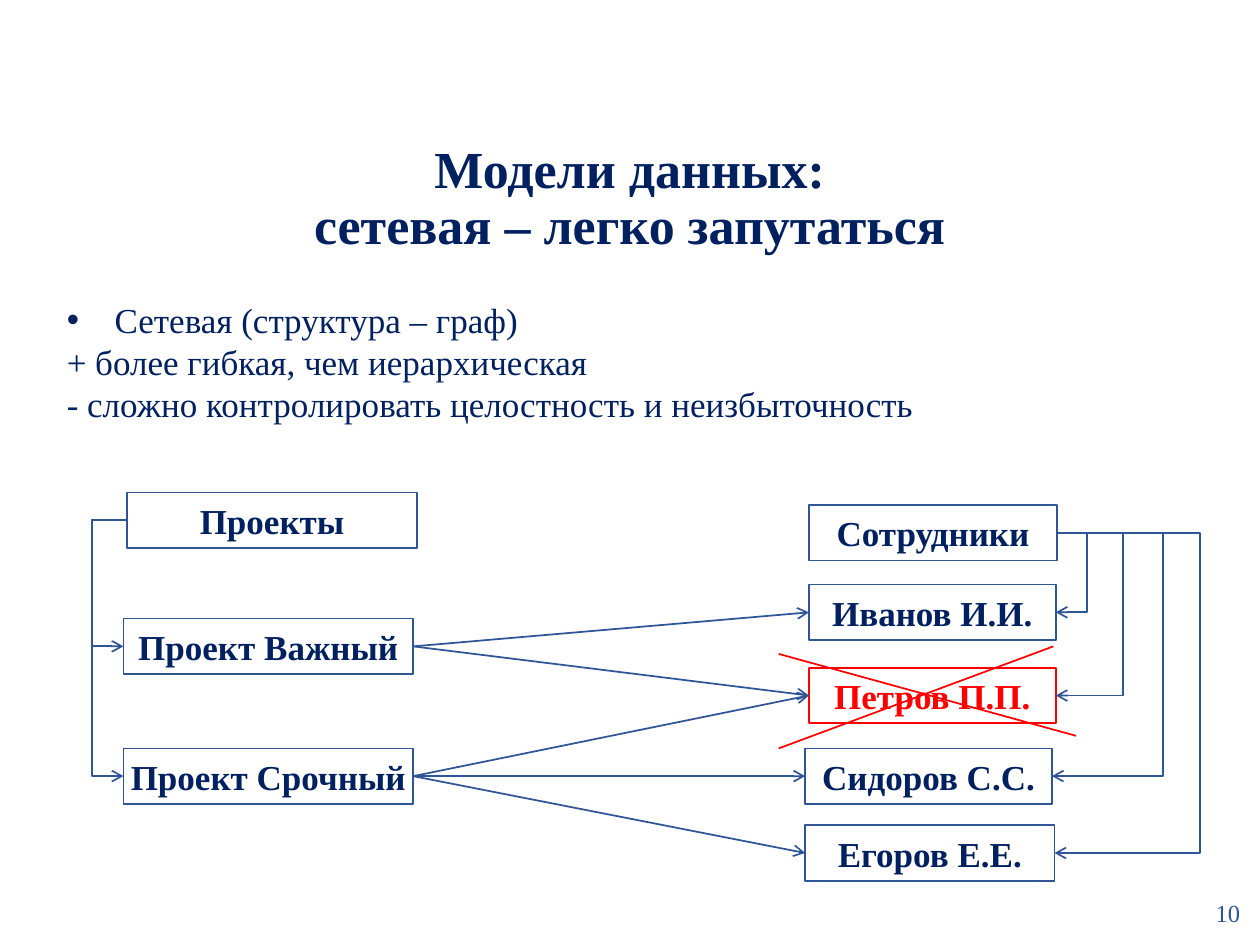
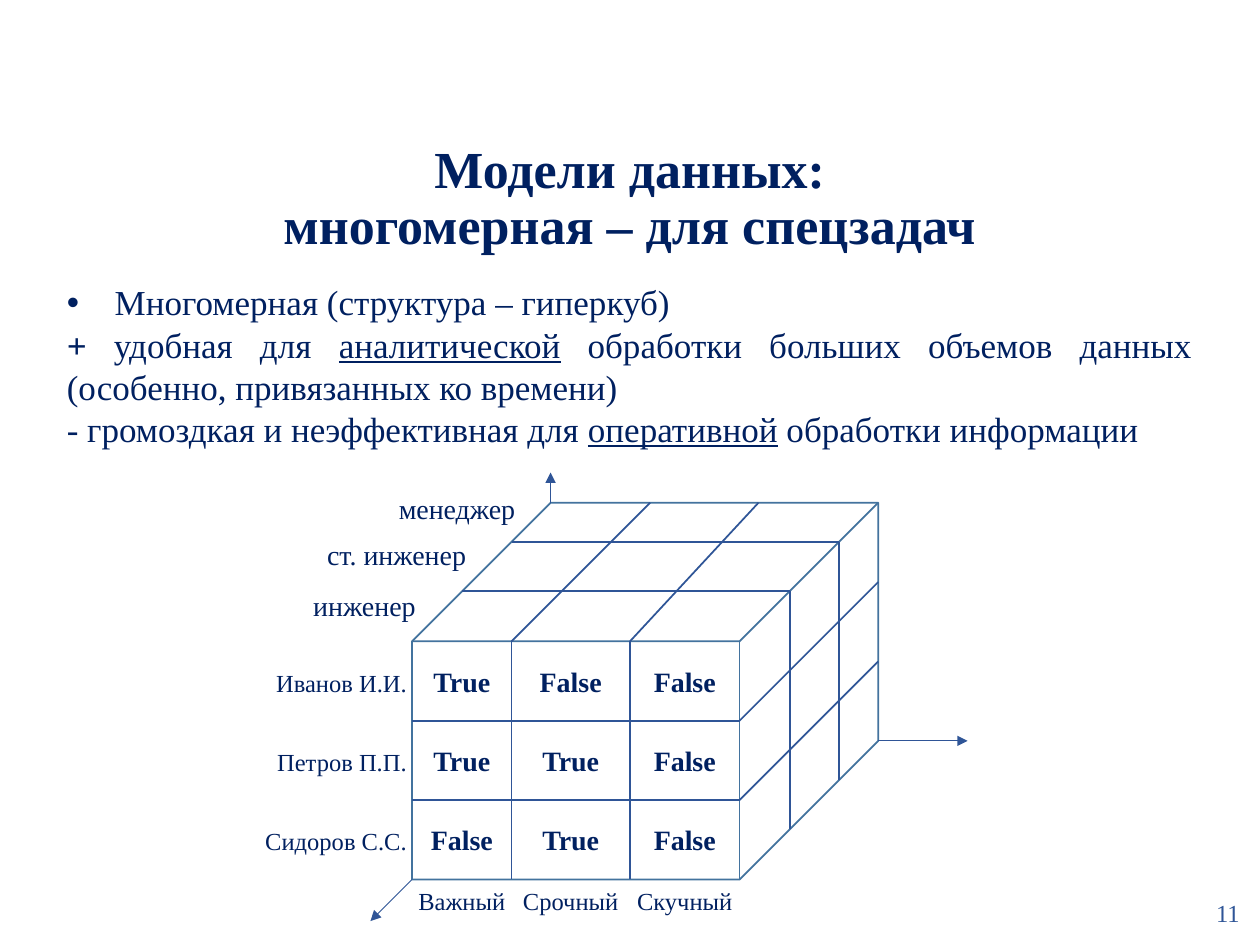
from typing import NamedTuple, Optional

import pptx
import pptx.dml.color
import pptx.enum.shapes
import pptx.enum.text
import pptx.oxml.ns
import pptx.oxml.xmlchemy
import pptx.presentation
import pptx.shapes.autoshape
import pptx.shapes.connector
import pptx.slide
import pptx.text.text
import pptx.util
from lxml import etree

Inches = pptx.util.Inches
Pt = pptx.util.Pt
RGBColor = pptx.dml.color.RGBColor
Align = pptx.enum.text.PP_ALIGN
Anchor = pptx.enum.text.MSO_ANCHOR
Preset = pptx.enum.shapes.MSO_SHAPE
Link = pptx.enum.shapes.MSO_CONNECTOR
qn = pptx.oxml.ns.qn

NAVY = RGBColor(0x00, 0x20, 0x60)
BLUE = RGBColor(0x2F, 0x55, 0x97)
STEEL = RGBColor(0x43, 0x73, 0x9E)
RED = RGBColor(0xFF, 0x00, 0x00)
FONT = "Times New Roman"
RIGHT_SIDE, LEFT_SIDE = 3, 1
BOX_HEIGHT = 0.44


class Point(NamedTuple):
    x: float
    y: float


class Area(NamedTuple):
    left: float
    top: float
    width: float
    height: float


class Style(NamedTuple):
    size: float
    color: RGBColor = NAVY
    bold: bool = False
    align: Align = Align.CENTER


class Part(NamedTuple):
    """A stretch of text within a paragraph."""
    text: str
    bold: bool = False
    underline: bool = False


class Record(NamedTuple):
    """A labelled box of the network diagram."""
    text: str
    left: float
    top: float
    width: float
    color: Optional[RGBColor] = None

    @property
    def right(self) -> float:
        return self.left + self.width

    @property
    def middle(self) -> float:
        return self.top + BOX_HEIGHT / 2


class DepthLabel(NamedTuple):
    text: str
    right: float
    top: float


BOX_STYLE = Style(20, bold=True)
CELL_STYLE = Style(16, bold=True)
DEPTH_STYLE = Style(16, align=Align.RIGHT)
ROW_STYLE = Style(14, align=Align.RIGHT)
COLUMN_STYLE = Style(14)
NUMBER_STYLE = Style(14, BLUE)

PROJECTS = Record("Проекты", 1.01, 3.91, 2.3)
IMPORTANT = Record("Проект Важный", 0.98, 4.91, 2.3)
URGENT = Record("Проект Срочный", 0.98, 5.94, 2.3)
STAFF = Record("Сотрудники", 6.42, 4.01, 1.97)
IVANOV = Record("Иванов И.И.", 6.42, 4.64, 1.96)
PETROV = Record("Петров П.П.", 6.42, 5.3, 1.96, RED)
SIDOROV = Record("Сидоров С.С.", 6.39, 5.94, 1.96)
EGOROV = Record("Егоров Е.Е.", 6.39, 6.55, 1.98)
RECORDS = (PROJECTS, IMPORTANT, URGENT, STAFF, IVANOV, PETROV, SIDOROV, EGOROV)
ASSIGNMENTS = ((IMPORTANT, IVANOV), (IMPORTANT, PETROV), (URGENT, PETROV),
               (URGENT, SIDOROV), (URGENT, EGOROV))
PROJECT_LANE = 0.73
STAFF_LANES = ((IVANOV, 8.63), (PETROV, 8.92), (SIDOROV, 9.23), (EGOROV, 9.52))

COLUMN_EDGES = (3.27, 4.06, 5.0, 5.87)
BACK_EDGES = (5.16, 6.02)
ROW_HEIGHT = 0.63
ROW_EDGES = tuple(5.09 + ROW_HEIGHT * row for row in range(4))
DEPTH = 1.1
DEPTH_STEPS = (0.4, 0.79)
COLUMNS = ("Важный", "Срочный", "Скучный")
ROWS = ("Иванов И.И.", "Петров П.П.", "Сидоров С.С.")
VALUES = (("True", "False", "False"),
          ("True", "True", "False"),
          ("False", "True", "False"))
DEPTH_LABELS = (DepthLabel("менеджер", 4.13, 3.85),
                DepthLabel("ст. инженер", 3.74, 4.22),
                DepthLabel("инженер", 3.34, 4.62))


def place(shape: pptx.shapes.autoshape.Shape, area: Area) -> None:
    shape.left, shape.top, shape.width, shape.height = map(Inches, area)


def style_paragraph(paragraph: pptx.text.text._Paragraph, style: Style) -> None:
    paragraph.alignment = style.align
    for run in paragraph.runs:
        run.font.name = FONT
        run.font.size = Pt(style.size)
        run.font.bold = style.bold
        run.font.color.rgb = style.color


def write(shape: pptx.shapes.autoshape.Shape, text: str, style: Style,
          anchor: Anchor) -> None:
    frame = shape.text_frame
    frame.word_wrap = True
    frame.vertical_anchor = anchor
    frame.margin_left = frame.margin_right = Inches(0.04)
    frame.margin_top = frame.margin_bottom = Inches(0.05)
    frame.text = text
    style_paragraph(frame.paragraphs[0], style)


def add_label(slide: pptx.slide.Slide, area: Area, text: str, style: Style,
              anchor: Anchor = Anchor.TOP) -> None:
    label = slide.shapes.add_textbox(*map(Inches, area))
    write(label, text, style, anchor)


def add_outline(slide: pptx.slide.Slide, preset: Preset, area: Area,
                color: RGBColor) -> pptx.shapes.autoshape.Shape:
    outline = slide.shapes.add_shape(preset, *map(Inches, area))
    outline.shadow.inherit = False
    outline.fill.background()
    outline.line.color.rgb = color
    outline.line.width = Pt(1)
    return outline


def add_line(slide: pptx.slide.Slide, start: Point, end: Point,
             color: RGBColor = BLUE, width: float = 1, arrow: str = "",
             kind: Link = Link.STRAIGHT) -> pptx.shapes.connector.Connector:
    line = slide.shapes.add_connector(kind, *map(Inches, start + end))
    line.line.color.rgb = color
    line.line.width = Pt(width)
    properties = line._element.spPr
    if arrow:
        etree.SubElement(properties.find(qn("a:ln")), qn("a:tailEnd"), type=arrow)
    etree.SubElement(properties, qn("a:effectLst"))
    return line


def add_elbow(slide: pptx.slide.Slide, start: Point, end: Point, lane: float) -> None:
    """Draw an arrow that runs down the vertical line x = lane."""
    elbow = add_line(slide, start, end, arrow="arrow", kind=Link.ELBOW)
    bend = round((lane - start.x) / (end.x - start.x) * 100000)
    guides = elbow._element.spPr.find(qn("a:prstGeom")).get_or_add_avLst()
    etree.SubElement(guides, qn("a:gd"), name="adj1", fmla=f"val {bend}")


def fill_body(body: pptx.shapes.autoshape.Shape,
              paragraphs: tuple[tuple[Part, ...], ...]) -> None:
    """Write a bulleted heading followed by plain justified paragraphs."""
    frame = body.text_frame
    frame.word_wrap = True
    frame.auto_size = pptx.enum.text.MSO_AUTO_SIZE.NONE
    for index, parts in enumerate(paragraphs):
        paragraph = frame.add_paragraph() if index else frame.paragraphs[0]
        for part in parts:
            paragraph.add_run().text = part.text
        style_paragraph(paragraph, Style(20, align=Align.JUSTIFY))
        for run, part in zip(paragraph.runs, parts):
            run.font.bold = part.bold
            run.font.underline = part.underline
        paragraph.space_before = Pt(0)
        indent = 0 if index else Inches(0.38)
        properties = paragraph._p.get_or_add_pPr()
        properties.set("marL", str(indent))
        properties.set("indent", str(-indent))
        if index:
            etree.SubElement(properties, qn("a:buNone"))
        else:
            etree.SubElement(properties, qn("a:buFont"), typeface="Arial")
            etree.SubElement(properties, qn("a:buChar"), char="•")


def add_topic(deck: pptx.presentation.Presentation, topic: str, number: int,
              body_area: Area,
              paragraphs: tuple[tuple[Part, ...], ...]) -> pptx.slide.Slide:
    """Add a slide with the shared title, list and page number."""
    slide = deck.slides.add_slide(deck.slide_layouts[1])
    title, body = slide.placeholders
    place(title, Area(0, 1.15, 10, 0.87))
    write(title, f"Модели данных:\v{topic}", Style(29.7, bold=True), Anchor.MIDDLE)
    title.text_frame.auto_size = pptx.enum.text.MSO_AUTO_SIZE.NONE
    title.text_frame.paragraphs[0].line_spacing = 0.9
    place(body, body_area)
    fill_body(body, paragraphs)
    add_label(slide, Area(9.49, 6.98, 0.51, 0.52), str(number), NUMBER_STYLE,
              Anchor.MIDDLE)
    return slide


def draw_network(slide: pptx.slide.Slide) -> None:
    boxes = {}
    for record in RECORDS:
        area = Area(record.left, record.top, record.width, BOX_HEIGHT)
        box = add_outline(slide, Preset.RECTANGLE, area, record.color or BLUE)
        write(box, record.text, BOX_STYLE._replace(color=record.color or NAVY),
              Anchor.MIDDLE)
        boxes[record] = box
    for project, person in ASSIGNMENTS:
        arrow = add_line(slide, Point(project.right, project.middle),
                         Point(person.left, person.middle), arrow="arrow")
        arrow.begin_connect(boxes[project], RIGHT_SIDE)
        arrow.end_connect(boxes[person], LEFT_SIDE)
    for project in (IMPORTANT, URGENT):
        add_elbow(slide, Point(PROJECTS.left, PROJECTS.middle),
                  Point(project.left, project.middle), PROJECT_LANE)
    for person, lane in STAFF_LANES:
        add_elbow(slide, Point(STAFF.right, STAFF.middle),
                  Point(person.right, person.middle), lane)
    add_line(slide, Point(6.18, 5.19), Point(8.54, 5.84), RED)
    add_line(slide, Point(6.18, 5.94), Point(8.36, 5.13), RED)


def draw_hypercube(slide: pptx.slide.Slide) -> None:
    left, right = COLUMN_EDGES[0], COLUMN_EDGES[-1]
    top, bottom = ROW_EDGES[0], ROW_EDGES[-1]
    height = bottom - top + DEPTH
    cube = add_outline(slide, Preset.CUBE,
                       Area(left, top - DEPTH, right - left + DEPTH, height), STEEL)
    cube.adjustments[0] = DEPTH / height

    for x, back_x in zip(COLUMN_EDGES[1:-1], BACK_EDGES):
        add_line(slide, Point(x, top), Point(x, bottom))
        add_line(slide, Point(x, top), Point(back_x, top - DEPTH))
    for y in ROW_EDGES[1:-1]:
        add_line(slide, Point(left, y), Point(right, y))
        add_line(slide, Point(right, y), Point(right + DEPTH, y - DEPTH))
    for step in DEPTH_STEPS:
        corner = Point(right + step, top - step)
        add_line(slide, Point(left + step, top - step), corner)
        add_line(slide, corner, Point(corner.x, bottom - step))

    back_left = Point(left + DEPTH, top - DEPTH)
    back_right = Point(right + DEPTH, bottom - DEPTH)
    for start, dx, dy in ((Point(left, bottom), -0.33, 0.33),
                          (back_right, 0.71, 0), (back_left, 0, -0.24)):
        add_line(slide, start, Point(start.x + dx, start.y + dy), width=0.5,
                 arrow="triangle")

    widths = [end - start for start, end in zip(COLUMN_EDGES, COLUMN_EDGES[1:])]
    for x, width, column in zip(COLUMN_EDGES, widths, COLUMNS):
        add_label(slide, Area(x, bottom, width, 0.34), column, COLUMN_STYLE)
    for y, person, values in zip(ROW_EDGES, ROWS, VALUES):
        add_label(slide, Area(2.01, y + 0.16, 1.26, 0.34), person, ROW_STYLE)
        for x, width, value in zip(COLUMN_EDGES, widths, values):
            add_label(slide, Area(x, y, width, ROW_HEIGHT), value, CELL_STYLE,
                      Anchor.MIDDLE)
    for label in DEPTH_LABELS:
        add_label(slide, Area(label.right - 1.26, label.top, 1.26, 0.37),
                  label.text, DEPTH_STYLE)


def main() -> None:
    deck = pptx.Presentation()
    deck.slide_width, deck.slide_height = Inches(10), Inches(7.5)
    draw_network(add_topic(
        deck, "сетевая – легко запутаться", 10, Area(0.43, 2.32, 9.13, 1.11),
        ((Part("Сетевая (структура – граф)"),),
         (Part("+ более гибкая, чем иерархическая"),),
         (Part("- сложно контролировать целостность и неизбыточность"),))))
    draw_hypercube(add_topic(
        deck, "многомерная – для спецзадач", 11, Area(0.43, 2.18, 9.13, 1.45),
        ((Part("Многомерная (структура – гиперкуб)"),),
         (Part("+", bold=True), Part(" удобная для "),
          Part("аналитической", underline=True),
          Part(" обработки больших объемов данных (особенно, привязанных ко времени)")),
         (Part("- громоздкая и неэффективная для "),
          Part("оперативной", underline=True), Part(" обработки информации")))))
    deck.save("out.pptx")


if __name__ == "__main__":
    main()
